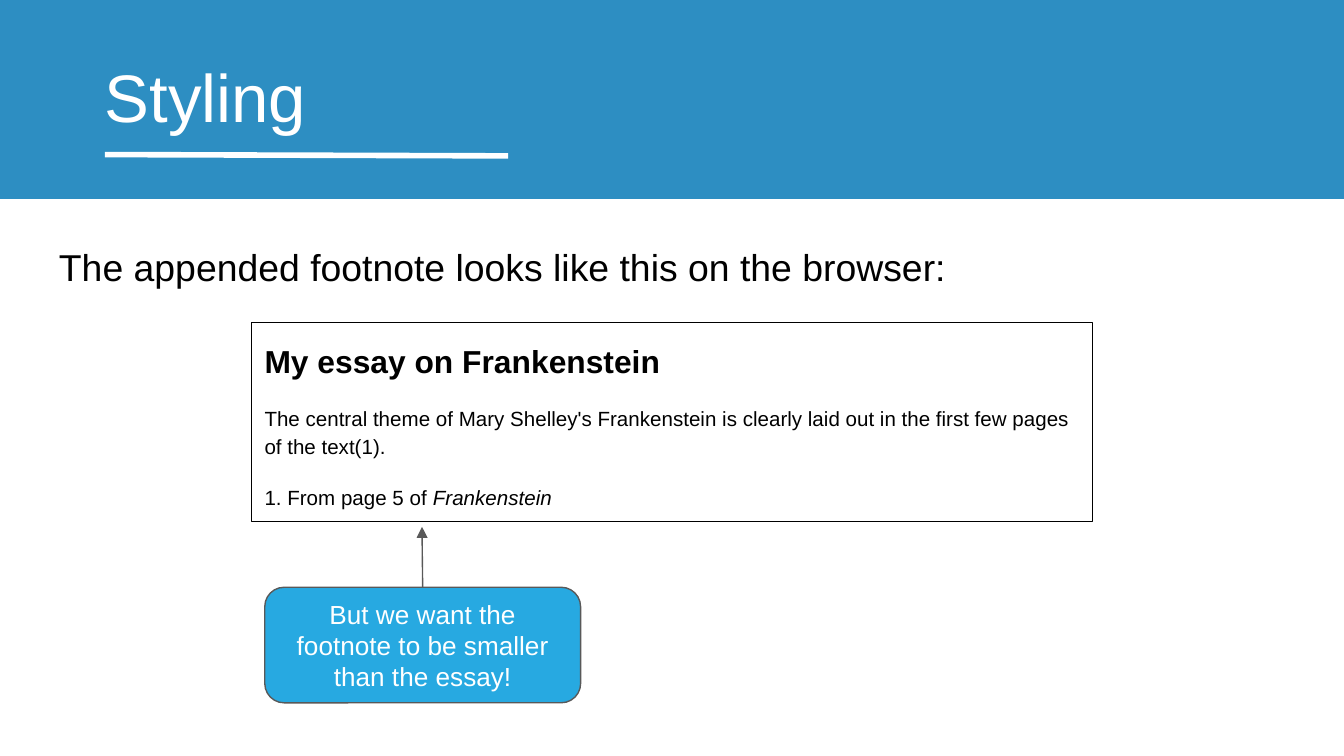
from lxml import etree
from pptx import Presentation
from pptx.dml.color import RGBColor
from pptx.enum.shapes import MSO_CONNECTOR, MSO_SHAPE
from pptx.enum.text import MSO_ANCHOR, PP_ALIGN
from pptx.oxml.ns import qn
from pptx.util import Inches, Pt

TOP, MIDDLE = MSO_ANCHOR.TOP, MSO_ANCHOR.MIDDLE
LEFT, CENTER = PP_ALIGN.LEFT, PP_ALIGN.CENTER
RECT, ROUNDED = MSO_SHAPE.RECTANGLE, MSO_SHAPE.ROUNDED_RECTANGLE
STRAIGHT = MSO_CONNECTOR.STRAIGHT

COLORS = {"band": "2D8EC2", "callout": "27A9E1", "outline": "595959",
          "white": "FFFFFF", "black": "000000"}
FONT = "Arial"
INSET = 0.1

TITLE = [([("Styling", {"size": 36})], {})]
INTRO = [([("The appended footnote looks like this on the browser:", {"size": 20})],
          {"line_spacing": 1.15, "space_after": Pt(16)})]
ESSAY = [
    ([("My essay on Frankenstein", {"size": 17, "bold": True})],
     {"line_spacing": 1.15}),
    ([("The central theme of Mary Shelley's Frankenstein is clearly laid out "
       "in the first few pages of the text(1).", {"size": 11})],
     {"line_spacing": 1.15, "space_before": Pt(12)}),
    ([("1. From page 5 of ", {"size": 11}),
      ("Frankenstein", {"size": 11, "italic": True})],
     {"line_spacing": 1.15, "space_before": Pt(12), "space_after": Pt(12)}),
]
CALLOUT = [([("But we want the footnote to be smaller than the essay!", {"size": 14})], {})]


def rgb(name):
    return RGBColor.from_string(COLORS[name])


def write(sp, paragraphs, color, anchor=TOP, align=LEFT):
    tf = sp.text_frame
    frame = {"word_wrap": True, "vertical_anchor": anchor}
    frame.update({f"margin_{side}": Inches(INSET)
                  for side in ("left", "top", "right", "bottom")})
    for name, value in frame.items():
        setattr(tf, name, value)
    for i, (runs, formats) in enumerate(paragraphs):
        p = tf.paragraphs[0] if i == 0 else tf.add_paragraph()
        for name, value in {"alignment": align, **formats}.items():
            setattr(p, name, value)
        for text, style in runs:
            r = p.add_run()
            r.text = text
            for name, value in {"name": FONT, **style, "size": Pt(style["size"])}.items():
                setattr(r.font, name, value)
            r.font.color.rgb = rgb(color)


def add_box(s, kind, box, fill=None, line=None):
    sp = s.shapes.add_shape(kind, *map(Inches, box))
    sp.shadow.inherit = False
    if fill:
        sp.fill.solid()
        sp.fill.fore_color.rgb = rgb(fill)
    else:
        sp.fill.background()
    if line:
        sp.line.color.rgb = rgb(line)
        sp.line.width = Pt(0.75)
    else:
        sp.line.fill.background()
    return sp


def add_line(s, start, end, color, width):
    line = s.shapes.add_connector(STRAIGHT, *map(Inches, start + end))
    line.line.color.rgb = rgb(color)
    line.line.width = Pt(width)
    etree.SubElement(line._element.spPr, qn("a:effectLst"))
    return line


def main():
    prs = Presentation()
    prs.slide_width = Inches(10)
    prs.slide_height = prs.slide_width * 9 // 16
    s = prs.slides.add_slide(prs.slide_layouts[5])

    title = s.shapes.title
    title.left, title.top, title.width, title.height = map(Inches, (0.68, 0.31, 9.32, 0.63))
    write(title, TITLE, "white")

    band = add_box(s, RECT, (0, 0, 10, 1.48), "band")
    title._element.addprevious(band._element)
    underline = add_line(s, (0.78, 1.15), (3.78, 1.16), "white", 3)
    title._element.addprevious(underline._element)

    intro = s.shapes.add_textbox(*map(Inches, (0.34, 1.67, 9.32, 0.63)))
    write(intro, INTRO, "black")

    callout = add_box(s, ROUNDED, (1.97, 4.37, 2.35, 0.86), "callout", "outline")
    write(callout, CALLOUT, "white", MIDDLE, CENTER)

    arrow = add_line(s, (3.15, 4.37), (3.14, 3.92), "outline", 0.75)
    arrow.begin_connect(callout, 0)
    etree.SubElement(arrow.line._get_or_add_ln(), qn("a:tailEnd"), type="triangle")
    callout._element.addprevious(arrow._element)

    essay = add_box(s, RECT, (1.87, 2.4, 6.26, 1.48), line="black")
    write(essay, ESSAY, "black")

    prs.save("out.pptx")


if __name__ == "__main__":
    main()
